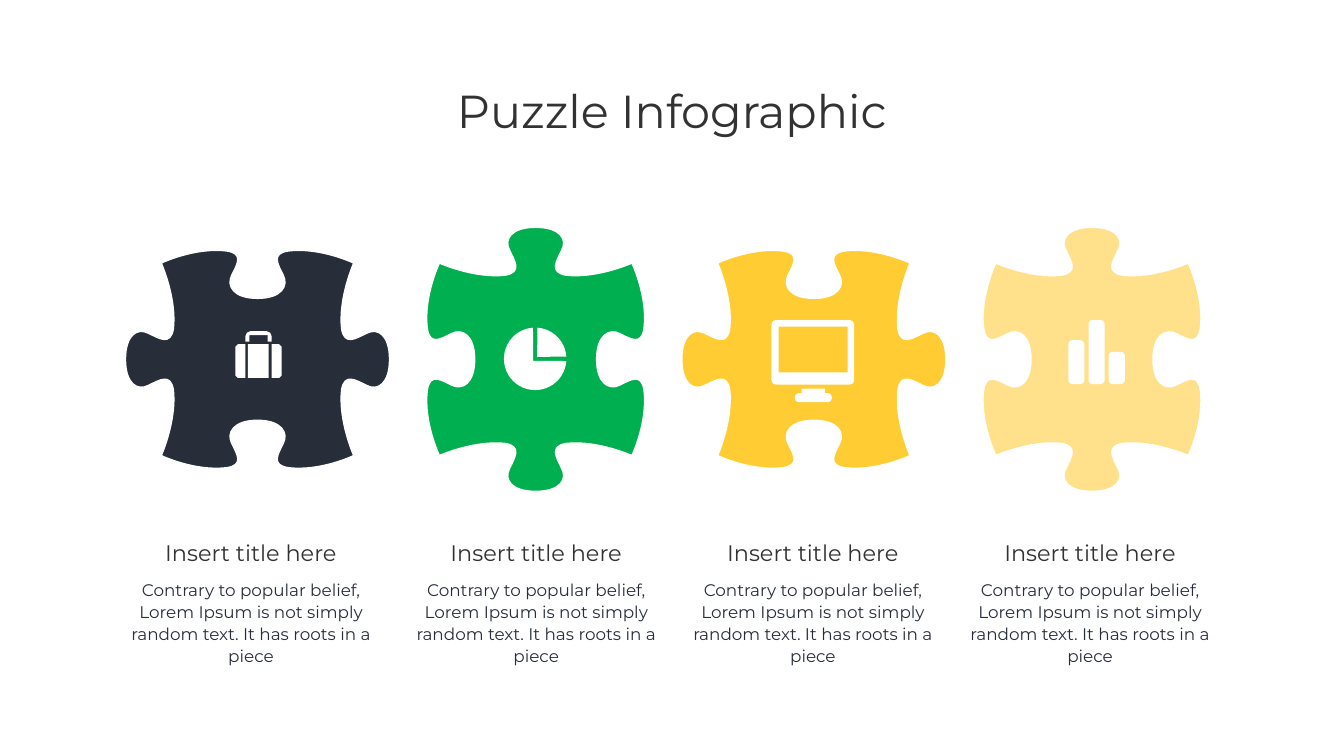
"""Build a slide with four puzzle pieces, their icons and captions."""
from math import cos, radians, sin
from pptx import Presentation
from pptx.dml.color import RGBColor
from pptx.enum.shapes import MSO_SHAPE as Kind
from pptx.enum.text import MSO_ANCHOR as Anchor, MSO_AUTO_SIZE as Fit, PP_ALIGN as Align
from pptx.oxml.ns import qn
from pptx.util import Pt

ROWS, COLS = 15, 26.67
CELL = 914400
WHITE, DARK, GREY = "FFFFFF", "272E3A", "323232"
hue = RGBColor.from_string

deck = Presentation()
deck.slide_width, deck.slide_height = round(COLS * CELL), ROWS * CELL
slide = deck.slides.add_slide(deck.slide_layouts[5])
shapes = slide.shapes


def write(box, text, size=24, color=DARK, space=1.0, wrap=True, fit=Fit.SHAPE_TO_FIT_TEXT, anchor=Anchor.TOP):
    """Fill a box with one centred paragraph."""
    frame = box.text_frame
    frame.text = text
    frame.word_wrap, frame.auto_size, frame.vertical_anchor = wrap, fit, anchor
    para = frame.paragraphs[0]
    para.alignment, para.line_spacing = Align.CENTER, space
    font = para.runs[0].font
    font.name, font.size, font.color.rgb = "Montserrat", Pt(size), hue(color)


def paint(form, color=WHITE, edge=None):
    """Give a shape a flat fill and an optional outline."""
    form.shadow.inherit = False
    form.fill.solid()
    form.fill.fore_color.rgb = hue(color)
    if edge:
        form.line.color.rgb, form.line.width = hue(edge), Pt(2)
    else:
        form.line.fill.background()


def trace(x, y, *loops):
    """Draw closed outlines around the grid point x, y as one shape."""
    spots = [[(round((x + a) * CELL), round((y + b) * CELL)) for a, b in loop] for loop in loops]
    pen = shapes.build_freeform(*spots[0][0], scale=1.0)
    pen.add_line_segments(spots[0][1:], close=True)
    for loop in spots[1:]:
        pen.move_to(*loop[0])
        pen.add_line_segments(loop[1:], close=True)
    form = pen.convert_to_shape()
    paint(form)
    return form


title = shapes.title
title.left, title.top, title.width, title.height = [round(n * CELL) for n in (1.83, 0.8, 23, 2.9)]
write(title, "Puzzle Infographic", size=66, color=GREY, space=0.9, fit=Fit.NONE, anchor=Anchor.MIDDLE)

knots = [(-2.62, 0), (-2.62, -0.49), (-2.38, -0.63), (-2.17, -0.52),
         (-1.94, -0.41), (-1.73, -0.27), (-1.67, -0.6),
         (-1.6, -1.22), (-1.91, -1.91), (-1.91, -1.91),
         (-1.91, -1.91), (-1.24, -2.23), (-0.61, -2.15),
         (-0.27, -2.1), (-0.4, -1.89), (-0.51, -1.67),
         (-0.62, -1.46), (-0.48, -1.21), (0, -1.21)]
half = knots + [(-x, y) for x, y in knots[-2::-1]]
piece = half + [(x, -y) for x, y in half[-2::-1]]

for n, color in enumerate((DARK, "00B050", "FFCC33", "FFE18B")):
    turn = [(y, x) for x, y in piece] if n % 2 else piece
    form = trace(5.11 + 5.52 * n, 7.13, turn)
    paint(form, color, WHITE)
    route = next(form.element.iter(qn("a:path")))
    lines = route.findall(qn("a:lnTo"))
    for bend, *rest in zip(lines[::3], lines[1::3], lines[2::3]):
        bend.tag = qn("a:cubicBezTo")
        for line in rest:
            bend.append(line[0])
            route.remove(line)

belief = "Contrary to popular belief, Lorem Ipsum is not simply random text. It has roots in a piece"
for x in (4.98, 10.64, 16.13, 21.63):
    for y, wide, high, text, look in (
            (10.65, 3.63, 0.64, "Insert title here", dict(size=32, color=GREY, wrap=False)),
            (11.41, 5.19, 1.85, belief, dict(space=1.1))):
        spot = [round(v * CELL) for v in (x - wide / 2, y, wide, high)]
        write(shapes.add_textbox(*spot), text, **look)

grip = [(-0.18, 0.08), (-0.18, 0.21), (-0.26, 0.21), (-0.26, 0.1), (-0.23, 0.03), (-0.16, 0)]
stand = [(-0.23, 0), (-0.23, 0.09), (-0.3, 0.09), (-0.35, 0.12), (-0.37, 0.18), (-0.35, 0.24), (-0.3, 0.27)]
for x, y, side in ((5.13, 6.57, grip), (16.14, 7.71, stand)):
    trace(x, y, side + [(-a, b) for a, b in side[::-1]])

flap = [(0.26, 0), (0.41, 0), (0.46, 0.05), (0.46, 0.62), (0.41, 0.67), (0.26, 0.67)]
for sign in (-1, 1):
    trace(5.13, 6.83, [(sign * a, b) for a, b in flap])

for first, last, gap, steps in ((4, 266, -0.04, 36), (-86, -4, 0.04, 12)):
    turns = [radians(first + (last - first) * k / steps) for k in range(steps + 1)]
    trace(10.62, 7.12, [(gap, -gap)] + [(0.62 * cos(a), 0.62 * sin(a)) for a in turns])

case = []
for q, (right, down) in enumerate(((1, 1), (-1, 1), (-1, -1), (1, -1))):
    for a in range(90 * q, 90 * q + 91, 30):
        case.append((0.73 * right + 0.09 * cos(radians(a)), 0.55 * down + 0.09 * sin(radians(a))))
pane = [(-0.68, -0.51), (-0.68, 0.4), (0.69, 0.4), (0.69, -0.51)]
trace(16.13, 6.99, case, pane)

bars = [(Kind.ROUNDED_RECTANGLE, 21.2 + 0.4 * n, 7.62 - high, 0.32, high)
        for n, high in enumerate((0.87, 1.27, 0.64))]
for kind, *place in [(Kind.RECTANGLE, 4.92, 6.83, 0.41, 0.67)] + bars:
    block = shapes.add_shape(kind, *[round(v * CELL) for v in place])
    paint(block)
    if kind == Kind.ROUNDED_RECTANGLE:
        block.adjustments[0] = 0.25

deck.save("out.pptx")
